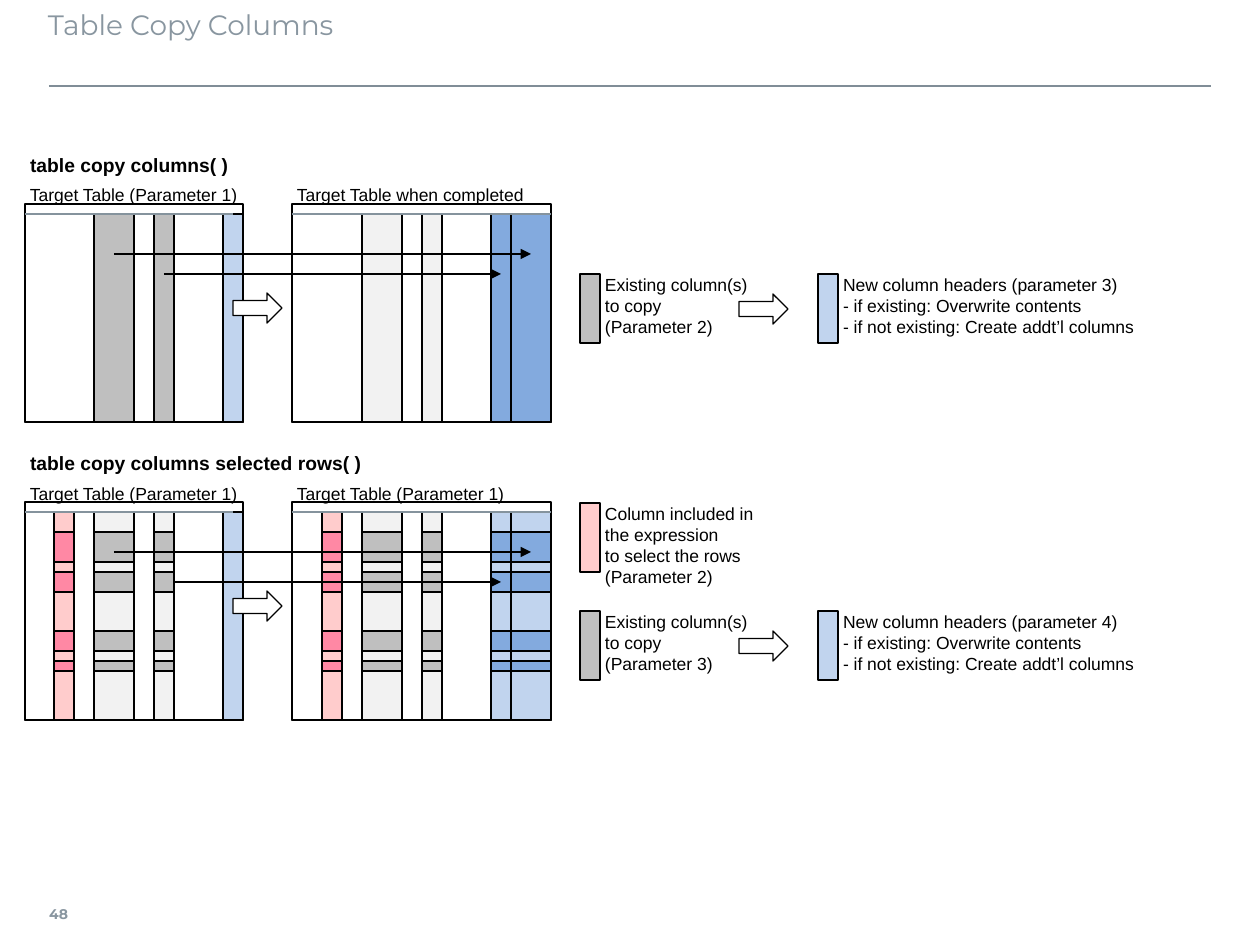
from copy import deepcopy
from lxml import etree
from pptx import Presentation
from pptx import util as u
from pptx.dml.color import RGBColor
from pptx.enum import shapes, text
from pptx.oxml.ns import qn

PX = 914400 / 126
BLACK = RGBColor(0x00, 0x00, 0x00)
WHITE = RGBColor(0xFF, 0xFF, 0xFF)
SLATE = RGBColor(0x89, 0x96, 0xA0)
RULE = RGBColor(0x80, 0x8D, 0x97)
HEADER = RGBColor(0x85, 0x93, 0x9D)
GRAY = RGBColor(0xBF, 0xBF, 0xBF)
PALE = RGBColor(0xF2, 0xF2, 0xF2)
LIGHT_BLUE = RGBColor(0xC1, 0xD4, 0xEE)
BLUE = RGBColor(0x83, 0xAA, 0xDE)
LIGHT_PINK = RGBColor(0xFF, 0xCC, 0xCC)
PINK = RGBColor(0xFF, 0x88, 0xA4)
RECT = shapes.MSO_SHAPE.RECTANGLE
ARROW = shapes.MSO_SHAPE.RIGHT_ARROW
TOP, MIDDLE = text.MSO_ANCHOR.TOP, text.MSO_ANCHOR.MIDDLE

prs = Presentation()
prs.slide_width, prs.slide_height = u.Inches(10), u.Inches(7.5)
s = prs.slides.add_slide(prs.slide_layouts[6])


def write(paragraphs, *at, size=10, font="Arial", color=BLACK, bold=False,
          anchor=TOP, insets=(5, 0, 5, 0)):
    tf = s.shapes.add_textbox(*(int(v * PX) for v in at)).text_frame
    tf.word_wrap = True
    tf.vertical_anchor = anchor
    tf.margin_left, tf.margin_top, tf.margin_right, tf.margin_bottom = (
        int(v * PX) for v in insets)
    for i, words in enumerate(paragraphs):
        p = tf.add_paragraph() if i else tf.paragraphs[0]
        p.text = words
        for r in p.runs:
            r.font.size, r.font.name, r.font.bold = u.Pt(size), font, bold
            r.font.color.rgb = color
        for br in p._p.findall(qn("a:br")):
            br.append(deepcopy(p.runs[0]._r.rPr))


def box(*at, fill=None, kind=RECT):
    sp = s.shapes.add_shape(kind, *(int(v * PX) for v in at))
    sp.shadow.inherit = False
    if fill is None:
        sp.fill.background()
    else:
        sp.fill.solid()
        sp.fill.fore_color.rgb = fill
    sp.line.color.rgb = BLACK
    sp.line.width = u.Pt(0.75)
    return sp


write(["Table Copy Columns"], 48, 2, 1160, 79, size=16, font="Montserrat",
      color=SLATE, insets=(0, 6, 13, 6))
write(["48"], 49, 889, 44, 49, size=8, font="Montserrat", color=SLATE,
      bold=True, anchor=MIDDLE, insets=(0, 6, 10, 6))

lines = [(49, 86, 1211, 86, RULE, 1, False, None)]
sections = [
    (204, "table copy columns( )", "Target Table when completed",
     [(94, 40, GRAY), (154, 20, GRAY), (223, 20, LIGHT_BLUE), (362, 40, PALE),
      (422, 20, PALE), (491, 20, BLUE), (511, 40, BLUE)]),
    (502, "table copy columns selected rows( )", "Target Table (Parameter 1)",
     [(54, 20, LIGHT_PINK), (94, 40, PALE), (154, 20, PALE),
      (223, 20, LIGHT_BLUE), (322, 20, LIGHT_PINK), (362, 40, PALE),
      (422, 20, PALE), (491, 20, LIGHT_BLUE), (511, 40, LIGHT_BLUE)]),
]
for top, heading, result, columns in sections:
    write([heading], 25, top - 49, 360, 20, size=11, bold=True,
          anchor=MIDDLE, insets=(5, 5, 5, 5))
    for left, width, header_end, label in (
            (25, 218, 233, "Target Table (Parameter 1)"), (292, 259, 551, result)):
        write([label], left, top - 19, 250, 20, anchor=MIDDLE, insets=(5, 5, 5, 5))
        box(left, top, width, 218)
        box(left, top + 10, width, 208)
        lines.append((left, top + 10, header_end, top + 10, HEADER, 0.75, False, None))
    for x, width, fill in columns:
        box(x, top + 10, width, 208, fill=fill)
    box(233, top + 89, 49, 30, fill=WHITE, kind=ARROW)

cells = {}
for y, height in ((532, 30), (572, 20), (631, 20), (661, 10)):
    for x, width, fill in ((54, 20, PINK), (94, 40, GRAY), (154, 20, GRAY),
                           (322, 20, PINK), (362, 40, GRAY), (422, 20, GRAY),
                           (491, 20, BLUE), (511, 40, BLUE)):
        cells[x, y] = box(x, y, width, height, fill=fill)

lines += [
    (164, 274, 501, 274, BLACK, 0.75, True, None),
    (114, 254, 531, 254, BLACK, 0.75, True, None),
    (174, 582, 501, 582, BLACK, 0.75, True, cells[154, 572]),
    (114, 552, 531, 552, BLACK, 0.75, True, None),
]
for x1, y1, x2, y2, color, weight, arrow, source in lines:
    c = s.shapes.add_connector(shapes.MSO_CONNECTOR.STRAIGHT,
                               *(int(v * PX) for v in (x1, y1, x2, y2)))
    c.line.color.rgb = color
    c.line.width = u.Pt(weight)
    if arrow:
        etree.SubElement(c.line._get_or_add_ln(), qn("a:tailEnd"), type="triangle")
    etree.SubElement(c._element.spPr, qn("a:effectLst"))
    if source is not None:
        c.begin_connect(source, 3)

box(580, 503, 20, 69, fill=LIGHT_PINK)
write(["Column included in", "the expression\nto select the rows\n(Parameter 2)"],
      600, 503, 169, 69)
for y, number in ((274, 2), (611, 3)):
    box(580, y, 20, 69, fill=GRAY)
    write([f"Existing column(s)\nto copy\n(Parameter {number})"], 600, y, 169, 69)
    box(739, y + 20, 49, 30, kind=ARROW)
    box(818, y, 20, 69, fill=LIGHT_BLUE)
    write([f"New column headers (parameter {number + 1})",
           "- if existing: Overwrite contents\n- if not existing: Create addt’l columns"],
          838, y, 320, 69)

prs.save("out.pptx")
